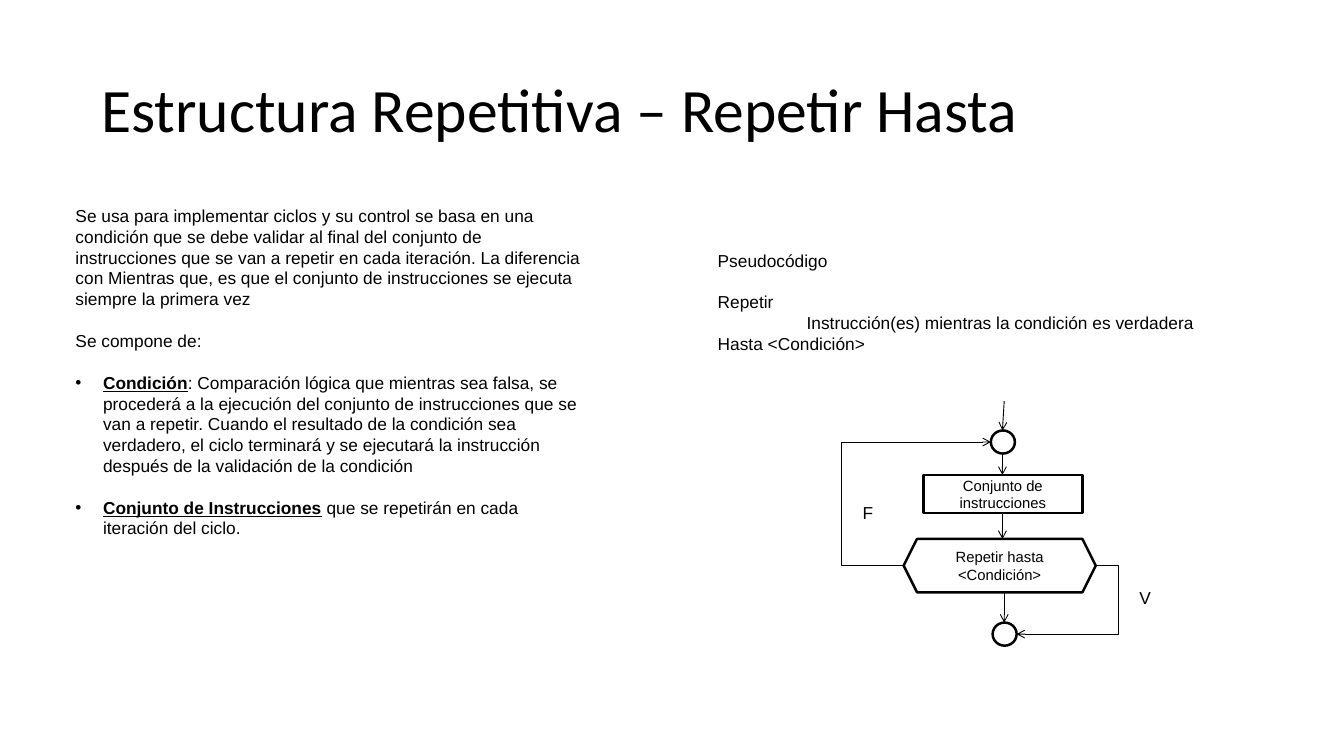
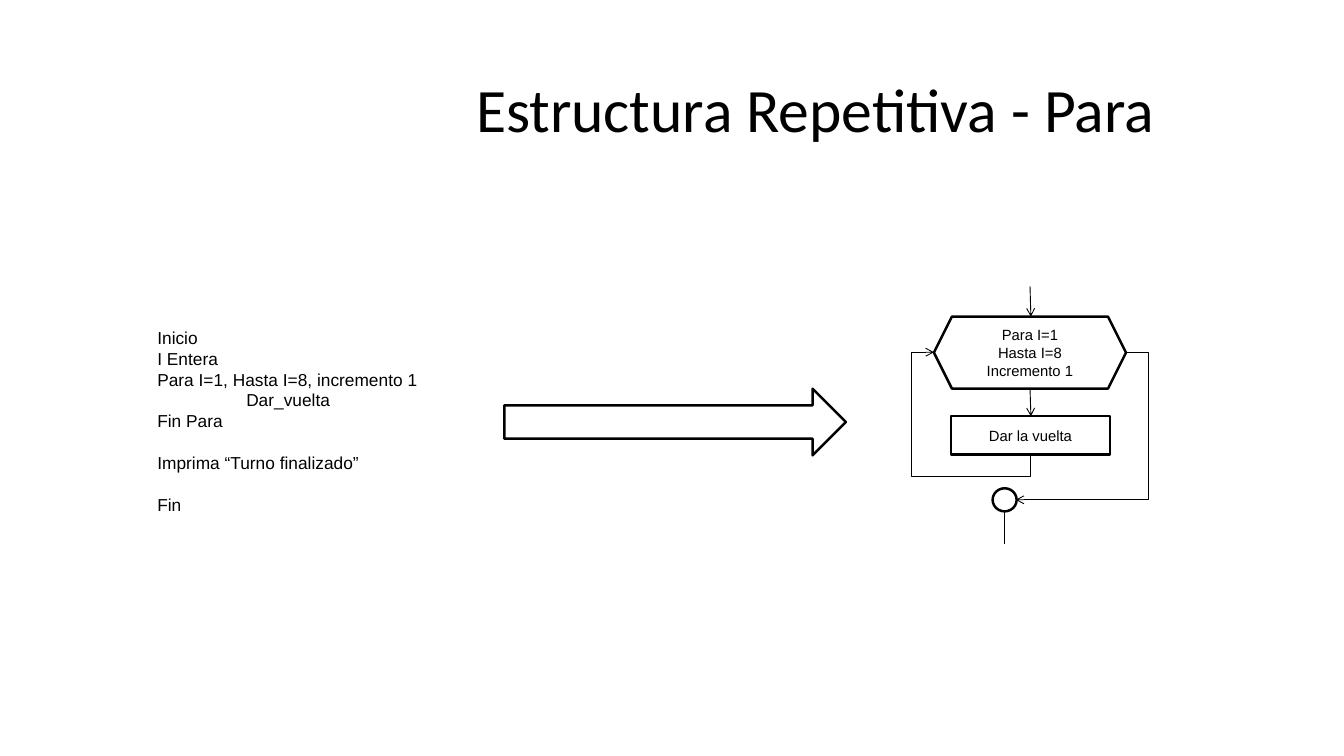
from dataclasses import dataclass

from lxml import etree
from pptx import Presentation, util as u
from pptx.dml.color import RGBColor
from pptx.enum import shapes, text
from pptx.oxml.ns import qn

KIND = shapes.MSO_SHAPE
SIDE = text.PP_ALIGN


@dataclass(frozen=True)
class Theme:
    ink: RGBColor = RGBColor(0, 0, 0)
    paper: RGBColor = RGBColor(255, 255, 255)
    head: str = "Calibri"
    body: str = "Arial"
    title: float = 49.9
    main: int = 14
    label: int = 12
    gap: int = 17
    thick: float = 2
    thin: float = 0.75


@dataclass
class Para:
    text: str
    key: str = ""
    gap: bool = False
    left: int = 0


THEME = Theme()


def px(size):
    return u.Emu(round(size * 9144))


def style(para, size, face=THEME.body):
    para.font.size = u.Pt(size)
    para.font.name = face
    para.font.color.rgb = THEME.ink


def frame(slide, left, top, width, height, wrap=True):
    box = slide.shapes.add_textbox(px(left), px(top), px(width), px(height))
    box.text_frame.word_wrap = wrap
    return box.text_frame


def title(slide, words, width, side):
    area = frame(slide, 104, 45, width, 164)
    area.vertical_anchor = text.MSO_ANCHOR.MIDDLE
    area.margin_top = area.margin_bottom = px(10)
    para = area.paragraphs[0]
    para.text = words
    para.alignment = side
    para.line_spacing = 0.9
    style(para, THEME.title, THEME.head)


def indent(para, left, hang=0):
    props = para._p.get_or_add_pPr()
    props.set("marL", str(px(left)))
    props.set("indent", str(px(-hang)))
    return props


def bullet(para):
    props = indent(para, 31, 31)
    etree.SubElement(props, qn("a:buFont")).set("typeface", THEME.body)
    etree.SubElement(props, qn("a:buChar")).set("char", "•")


def prose(slide, left, top, width, height, items, wrap=True):
    area = frame(slide, left, top, width, height, wrap)
    for num, item in enumerate(items):
        para = area.add_paragraph() if num else area.paragraphs[0]
        if item.gap:
            para.space_before = u.Pt(THEME.gap)
        if item.left:
            indent(para, item.left)
        if item.key:
            bullet(para)
            run = para.add_run()
            run.text = item.key
            run.font.bold = run.font.underline = True
        para.add_run().text = item.text
        style(para, THEME.main)


def block(slide, kind, left, top, width, height, lines=(), fill=False):
    shape = slide.shapes.add_shape(kind, px(left), px(top), px(width), px(height))
    shape.shadow.inherit = False
    if fill:
        shape.fill.solid()
        shape.fill.fore_color.rgb = THEME.paper
    else:
        shape.fill.background()
    shape.line.color.rgb = THEME.ink
    shape.line.width = u.Pt(THEME.thick)
    area = shape.text_frame
    area.vertical_anchor = text.MSO_ANCHOR.MIDDLE
    for num, line in enumerate(lines):
        para = area.add_paragraph() if num else area.paragraphs[0]
        para.text = line
        para.alignment = SIDE.CENTER
        style(para, THEME.label)
    return shape


def node(slide, left, top):
    return block(slide, KIND.OVAL, left, top, 27, 26, fill=True)


def wire(slide, kind, start, end, head=True):
    link = slide.shapes.add_connector(kind, *map(px, (*start, *end)))
    link.line.color.rgb = THEME.ink
    link.line.width = u.Pt(THEME.thin)
    props = link.element.spPr
    if head:
        line = props.find(qn("a:ln"))
        etree.SubElement(line, qn("a:tailEnd")).set("type", "arrow")
    etree.SubElement(props, qn("a:effectLst"))
    return link


def line(slide, start, end, head=True):
    wire(slide, shapes.MSO_CONNECTOR.STRAIGHT, start, end, head)


def route(link, preset, ratios, ends):
    shape = link.element.spPr.find(qn("a:prstGeom"))
    shape.set("prst", preset)
    for old in list(shape):
        shape.remove(old)
    guides = etree.SubElement(shape, qn("a:avLst"))
    for num, ratio in enumerate(ratios, 1):
        guide = etree.SubElement(guides, qn("a:gd"))
        guide.set("name", f"adj{num}")
        guide.set("fmla", f"val {round(ratio * 100000)}")
    hold = link.element.find(".//" + qn("p:cNvCxnSpPr"))
    for tag, (shape, site) in zip(("a:stCxn", "a:endCxn"), ends):
        glue = etree.SubElement(hold, qn(tag))
        glue.set("id", str(shape.shape_id))
        glue.set("idx", str(site))


def bend(slide, start, end, via, ends):
    link = wire(slide, shapes.MSO_CONNECTOR.ELBOW, start, end)
    ratio = (via - start[0]) / (end[0] - start[0])
    route(link, "bentConnector3", [ratio], ends)


def loop(slide, start, end, low, via, ends):
    wide, tall = end[0] - start[0], end[1] - start[1]
    midx, midy = start[0] + wide / 2, start[1] + tall / 2
    link = wire(slide, shapes.MSO_CONNECTOR.ELBOW,
                (midx - tall / 2, midy + wide / 2),
                (midx + tall / 2, midy - wide / 2))
    link.element.spPr.find(qn("a:xfrm")).set("rot", "5400000")
    ratios = (low - start[1]) / tall, (via - start[0]) / wide
    route(link, "bentConnector4", ratios, ends)


def until(slide):
    title(slide, "Estructura Repetitiva – Repetir Hasta", 1303, SIDE.LEFT)
    prose(slide, 75, 226, 591, 525, [
        Para("Se usa para implementar ciclos y su control se basa en una "
             "condición que se debe validar al final del conjunto de "
             "instrucciones que se van a repetir en cada iteración. La "
             "diferencia con Mientras que, es que el conjunto de "
             "instrucciones se ejecuta siempre la primera vez"),
        Para("Se compone de:", gap=True),
        Para(": Comparación lógica que mientras sea falsa, se procederá a la "
             "ejecución del conjunto de instrucciones que se van a repetir. "
             "Cuando el resultado de la condición sea verdadero, el ciclo "
             "terminará y se ejecutará la instrucción después de la "
             "validación de la condición", "Condición", gap=True),
        Para(" que se repetirán en cada iteración del ciclo.",
             "Conjunto de Instrucciones", gap=True),
    ])
    prose(slide, 797, 276, 591, 222, [
        Para("Pseudocódigo"),
        Para("Repetir", gap=True),
        Para("Instrucción(es) mientras la condición es verdadera", left=100),
        Para("Hasta <Condición>"),
    ])
    test = block(slide, KIND.HEXAGON, 1016, 606, 216, 60,
                 ["Repetir hasta <Condición>"])
    block(slide, KIND.RECTANGLE, 1038, 534, 179, 43,
          ["Conjunto de instrucciones"])
    prose(slide, 1271, 655, 35, 40, [Para("V")], wrap=False)
    prose(slide, 960, 560, 32, 40, [Para("F")], wrap=False)
    last = node(slide, 1116, 700)
    first = node(slide, 1114, 484)
    bend(slide, (1233, 636), (1143, 713), 1258, ((test, 0), (last, 6)))
    bend(slide, (1016, 636), (1114, 497), 946, ((test, 3), (first, 2)))
    for start, end in (((1129, 666), (1129, 700)), ((1127, 510), (1127, 534)),
                       ((1127, 577), (1127, 606)), ((1129, 451), (1127, 484))):
        line(slide, start, end)


def count(slide):
    title(slide, "Estructura Repetitiva - Para", 1204, SIDE.RIGHT)
    test = block(slide, KIND.HEXAGON, 1050, 356, 216, 81,
                 ["Para I=1", "Hasta I=8", "Incremento 1"])
    prose(slide, 167, 363, 489, 351, [
        Para("Inicio"),
        Para("I Entera"),
        Para("Para I=1, Hasta I=8, incremento 1"),
        Para("Dar_vuelta", left=100),
        Para("Fin Para"),
        Para("Imprima “Turno finalizado”", gap=True),
        Para("Fin", gap=True),
    ])
    step = block(slide, KIND.RECTANGLE, 1069, 468, 179, 43, ["Dar la vuelta"])
    last = node(slide, 1116, 549)
    line(slide, (1158, 437), (1159, 468))
    loop(slide, (1159, 512), (1050, 396), 536, 1025, ((step, 2), (test, 3)))
    line(slide, (1129, 575), (1129, 612), head=False)
    bend(slide, (1266, 396), (1142, 562), 1291, ((test, 0), (last, 6)))
    line(slide, (1158, 322), (1159, 356))
    block(slide, KIND.RIGHT_ARROW, 567, 437, 384, 75)


def main():
    deck = Presentation()
    deck.slide_width, deck.slide_height = px(1511), px(850)
    for build in (until, count):
        build(deck.slides.add_slide(deck.slide_layouts[6]))
    deck.save("out.pptx")


if __name__ == "__main__":
    main()
